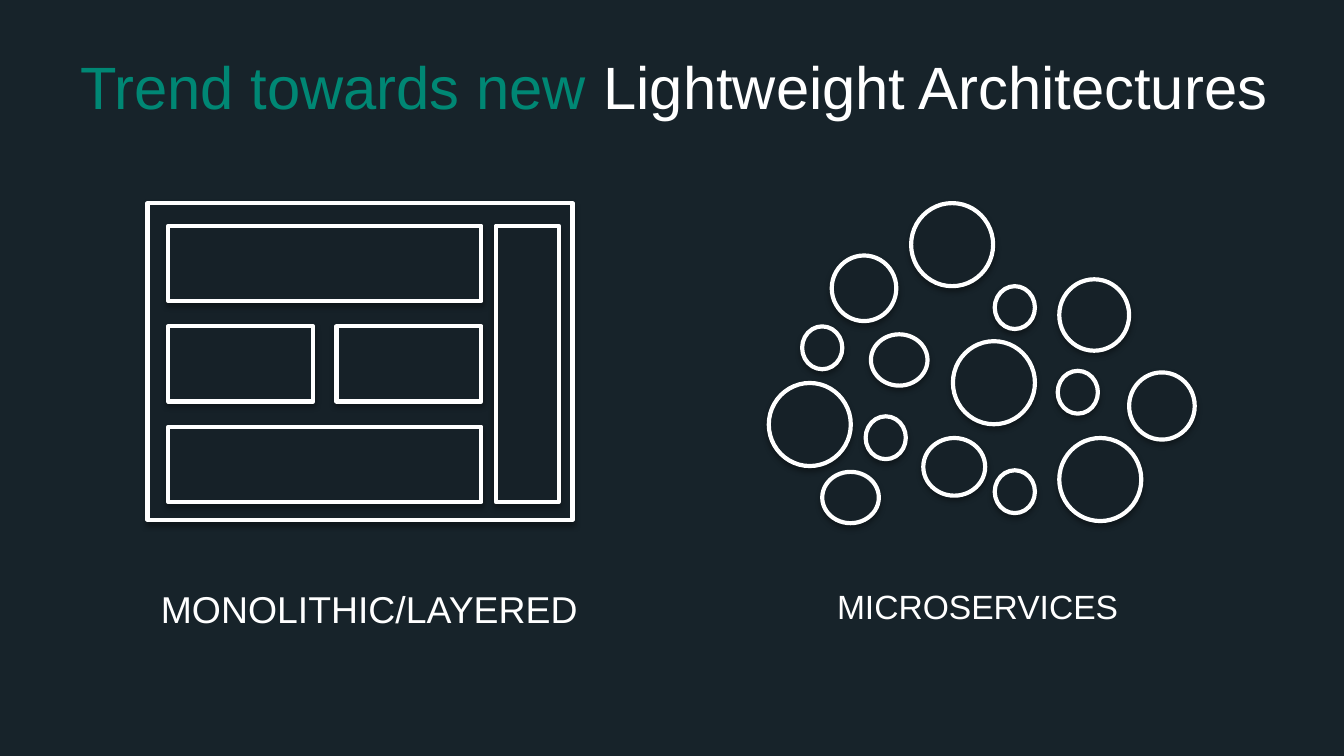
from lxml import etree
from pptx import Presentation
from pptx.dml.color import RGBColor
from pptx.enum.shapes import MSO_SHAPE
from pptx.util import Cm, Pt

RECT = MSO_SHAPE.RECTANGLE
OVAL = MSO_SHAPE.OVAL
NIGHT = RGBColor(0x17, 0x23, 0x2A)
PANEL = RGBColor(0x16, 0x21, 0x28)
GREEN = RGBColor(0x00, 0x87, 0x74)
WHITE = RGBColor(0xFF, 0xFF, 0xFF)
SHADOW = (
    '<a:effectLst xmlns:a="http://schemas.openxmlformats.org/drawingml/2006/main">'
    '<a:outerShdw blurRad="39370" dist="22860" dir="5400000" rotWithShape="0">'
    '<a:srgbClr val="000000"><a:alpha val="35000"/></a:srgbClr>'
    '</a:outerShdw></a:effectLst>'
)

deck = Presentation()
deck.slide_width, deck.slide_height = Cm(25.4), Cm(14.29)
slide = deck.slides.add_slide(deck.slide_layouts[6])
slide.background.fill.solid()
slide.background.fill.fore_color.rgb = NIGHT


def add_text(*runs, left, top, width, height, size, inset=0.13):
    box = slide.shapes.add_textbox(Cm(left), Cm(top), Cm(width), Cm(height))
    frame = box.text_frame
    frame.word_wrap = True
    frame.margin_top = Cm(inset)
    for text, color in runs:
        run = frame.paragraphs[0].add_run()
        run.text = text
        run.font.name = "Arial"
        run.font.size = Pt(size)
        run.font.color.rgb = color


def add_part(kind, left, top, width, height):
    part = slide.shapes.add_shape(kind, Cm(left), Cm(top), Cm(width), Cm(height))
    part.fill.solid()
    part.fill.fore_color.rgb = PANEL
    part.line.color.rgb = WHITE
    part.line.width = Pt(2.25)
    part._element.spPr.append(etree.fromstring(SHADOW))


# Title
add_text(("Trend towards new ", GREEN), ("Lightweight Architectures", WHITE),
         left=1.27, top=0.58, width=23.42, height=2.39, size=32, inset=0.36)

# Monolith: frame, three layers with the middle one split, side column
LEFT, TOP, STEP = 3.18, 4.27, 1.9
WIDE, HALF, HIGH = 5.92, 2.74, 1.42
add_part(RECT, 2.79, 3.84, 8.03, 5.99)
for row in (0, 2):
    add_part(RECT, LEFT, TOP + row * STEP, WIDE, HIGH)
for left in (LEFT, LEFT + WIDE - HALF):
    add_part(RECT, left, TOP + STEP, HALF, HIGH)
add_part(RECT, 9.37, TOP, 1.19, 2 * STEP + HIGH)

# Microservices: circle positions by size
circles = {
    (1.55, 1.57): [(17.22, 3.84), (18.01, 6.45), (14.53, 7.24), (20.02, 8.28)],
    (0.76, 0.81): [(18.8, 5.41), (19.99, 7.01), (18.8, 8.89), (16.36, 7.87),
                   (15.16, 6.17)],
    (1.07, 0.97): [(16.46, 6.32), (15.54, 8.92)],
    (1.22, 1.24): [(15.72, 4.83)],
    (1.32, 1.35): [(20.02, 5.28)],
    (1.24, 1.27): [(21.34, 7.04)],
    (1.17, 1.09): [(17.45, 8.28)],
}
for size, spots in circles.items():
    for spot in spots:
        add_part(OVAL, *spot, *size)

# Captions
add_text(("MONOLITHIC/LAYERED", WHITE),
         left=2.79, top=10.95, width=8.64, height=1.11, size=20)
add_text(("MICROSERVICES", WHITE),
         left=15.57, top=10.95, width=6.2, height=1.03, size=18)

deck.save("out.pptx")
